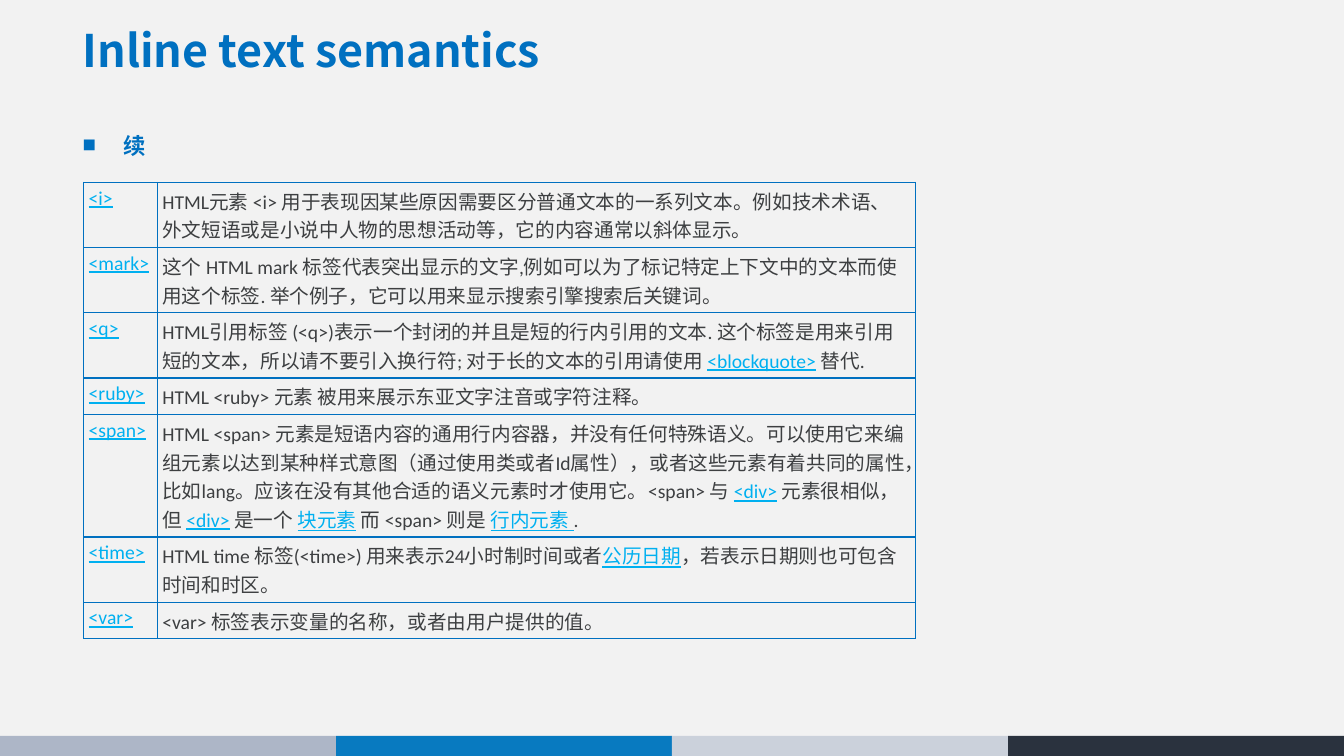
from lxml import etree
from pptx import Presentation
from pptx.dml.color import RGBColor
from pptx.enum.shapes import MSO_SHAPE
from pptx.enum.text import MSO_ANCHOR, MSO_AUTO_SIZE, PP_ALIGN
from pptx.oxml.ns import qn
from pptx.util import Inches, Pt

RECTANGLE = MSO_SHAPE.RECTANGLE
TOP, MIDDLE = MSO_ANCHOR.TOP, MSO_ANCHOR.MIDDLE
LEFT, JUSTIFY = PP_ALIGN.LEFT, PP_ALIGN.JUSTIFY
NO_AUTOFIT = MSO_AUTO_SIZE.NONE

BLUE = RGBColor(0x00, 0x70, 0xC0)
LINK_BLUE = RGBColor(0x00, 0xB0, 0xF0)
TEXT_GRAY = RGBColor(0x3D, 0x3F, 0x41)
PAGE_GRAY = RGBColor(0xF2, 0xF2, 0xF2)
FOOTER_COLORS = (
    RGBColor(0xAD, 0xB6, 0xC7),
    RGBColor(0x08, 0x7A, 0xC0),
    RGBColor(0xCB, 0xD1, 0xDB),
    RGBColor(0x2A, 0x32, 0x3E),
)

HEADING_FONT = "Noto Sans CJK SC"
TABLE_FONT = "Calibri"
SLIDE_WIDTH, SLIDE_HEIGHT = 13.33, 7.5
COLUMN_WIDTHS = (0.73, 7.52)

# Tag, row height, then description pieces: plain text and links take turns.
ELEMENTS = (
    ("<i>", 0.49, (
        "HTML元素 <i> 用于表现因某些原因需要区分普通文本的一系列文本。"
        "例如技术术语、外文短语或是小说中人物的思想活动等，它的内容通常以斜体显示。",)),
    ("<mark>", 0.49, (
        "这个 HTML mark 标签代表突出显示的文字,例如可以为了标记特定上下文中的文本而"
        "使用这个标签. 举个例子，它可以用来显示搜索引擎搜索后关键词。",)),
    ("<q>", 0.49, (
        "HTML引用标签 (<q>)表示一个封闭的并且是短的行内引用的文本. 这个标签是用来引"
        "用短的文本，所以请不要引入换行符; 对于长的文本的引用请使用 ",
        "<blockquote>", " 替代.")),
    ("<ruby>", 0.22, ("HTML <ruby> 元素 被用来展示东亚文字注音或字符注释。",)),
    ("<span>", 0.77, (
        "HTML <span> 元素是短语内容的通用行内容器，并没有任何特殊语义。可以使用它来编"
        "组元素以达到某种样式意图（通过使用类或者Id属性），或者这些元素有着共同的属"
        "性，比如lang。应该在没有其他合适的语义元素时才使用它。<span> 与 ",
        "<div>", " 元素很相似，但 ", "<div>", " 是一个 ", "块元素",
        " 而 <span> 则是 ", "行内元素 ", ".")),
    ("<time>", 0.35, (
        "HTML time 标签(<time>) 用来表示24小时制时间或者",
        "公历日期", "，若表示日期则也可包含时间和时区。")),
    ("<var>", 0.22, ("<var> 标签表示变量的名称，或者由用户提供的值。",)),
)


def add_run(paragraph, text, font_name, size, color, bold=False, underline=False):
    run = paragraph.add_run()
    run.text = text
    font = run.font
    font.name, font.size = font_name, Pt(size)
    font.bold, font.underline = bold, underline
    font.color.rgb = color
    east_asian = etree.SubElement(run._r.get_or_add_rPr(), qn("a:ea"))
    east_asian.set("typeface", HEADING_FONT)


def place(placeholder, left, top, width, height, anchor):
    placeholder.left, placeholder.top = Inches(left), Inches(top)
    placeholder.width, placeholder.height = Inches(width), Inches(height)
    frame = placeholder.text_frame
    frame.word_wrap = True
    frame.auto_size = NO_AUTOFIT
    frame.vertical_anchor = anchor
    return frame.paragraphs[0]


def add_square_bullet(paragraph, indent):
    properties = paragraph._p.get_or_add_pPr()
    properties.set("marL", str(Inches(indent)))
    properties.set("indent", str(Inches(-indent)))
    bullet_color = etree.SubElement(properties, qn("a:buClr"))
    etree.SubElement(bullet_color, qn("a:srgbClr")).set("val", str(BLUE))
    etree.SubElement(properties, qn("a:buSzPct")).set("val", "60000")
    etree.SubElement(properties, qn("a:buFont")).set("typeface", HEADING_FONT)
    etree.SubElement(properties, qn("a:buChar")).set("char", "■")


def add_heading(slide):
    heading = place(slide.shapes.title, 0.72, 0.18, 11.83, 0.7, MIDDLE)
    heading.alignment = LEFT
    heading.line_spacing = 0.9
    add_run(heading, "Inline text semantics", HEADING_FONT, 32, BLUE, bold=True)


def add_body(slide):
    continuation = place(slide.placeholders[1], 0.72, 1.23, 11.83, 5.81, TOP)
    add_square_bullet(continuation, 0.4)
    continuation.alignment = JUSTIFY
    continuation.line_spacing = 1.1
    continuation.space_before = Pt(0)
    add_run(continuation, "续", HEADING_FONT, 16, BLUE, bold=True)


def add_footer_bars(slide):
    bar_width = SLIDE_WIDTH / len(FOOTER_COLORS)
    for index, color in enumerate(FOOTER_COLORS):
        bar = slide.shapes.add_shape(
            RECTANGLE, Inches(index * bar_width), Inches(7.3),
            Inches(bar_width), Inches(0.2))
        bar.shadow.inherit = False
        bar.fill.solid()
        bar.fill.fore_color.rgb = color
        bar.line.fill.background()


def add_borders(cell):
    properties = cell._tc.get_or_add_tcPr()
    for side in ("a:lnL", "a:lnR", "a:lnT", "a:lnB"):
        border = etree.SubElement(properties, qn(side))
        border.set("w", str(Pt(1)))
        fill = etree.SubElement(border, qn("a:solidFill"))
        etree.SubElement(fill, qn("a:srgbClr")).set("val", str(BLUE))


def fill_cell(cell, pieces, anchor, first_link):
    """Write pieces; every second one, counted from first_link, is a link."""
    cell.margin_left = cell.margin_right = Inches(0.05)
    cell.margin_top = cell.margin_bottom = Inches(0.04)
    cell.vertical_anchor = anchor
    add_borders(cell)
    cell.fill.background()
    paragraph = cell.text_frame.paragraphs[0]
    for index, piece in enumerate(pieces):
        is_link = index % 2 == first_link
        color = LINK_BLUE if is_link else TEXT_GRAY
        add_run(paragraph, piece, TABLE_FONT, 14, color, underline=is_link)


def add_element_table(slide):
    table_height = sum(height for _, height, _ in ELEMENTS)
    table = slide.shapes.add_table(
        len(ELEMENTS), len(COLUMN_WIDTHS), Inches(0.83), Inches(1.81),
        Inches(sum(COLUMN_WIDTHS)), Inches(table_height)).table
    table.first_row = table.horz_banding = False
    for column, width in zip(table.columns, COLUMN_WIDTHS):
        column.width = Inches(width)
    for row, (tag, height, description) in zip(table.rows, ELEMENTS):
        row.height = Inches(height)
        fill_cell(row.cells[0], (tag,), TOP, first_link=0)
        fill_cell(row.cells[1], description, MIDDLE, first_link=1)


def main():
    presentation = Presentation()
    presentation.slide_width = Inches(SLIDE_WIDTH)
    presentation.slide_height = Inches(SLIDE_HEIGHT)
    slide = presentation.slides.add_slide(presentation.slide_layouts[1])
    slide.background.fill.solid()
    slide.background.fill.fore_color.rgb = PAGE_GRAY
    add_footer_bars(slide)
    add_heading(slide)
    add_body(slide)
    add_element_table(slide)
    presentation.save("out.pptx")


if __name__ == "__main__":
    main()
